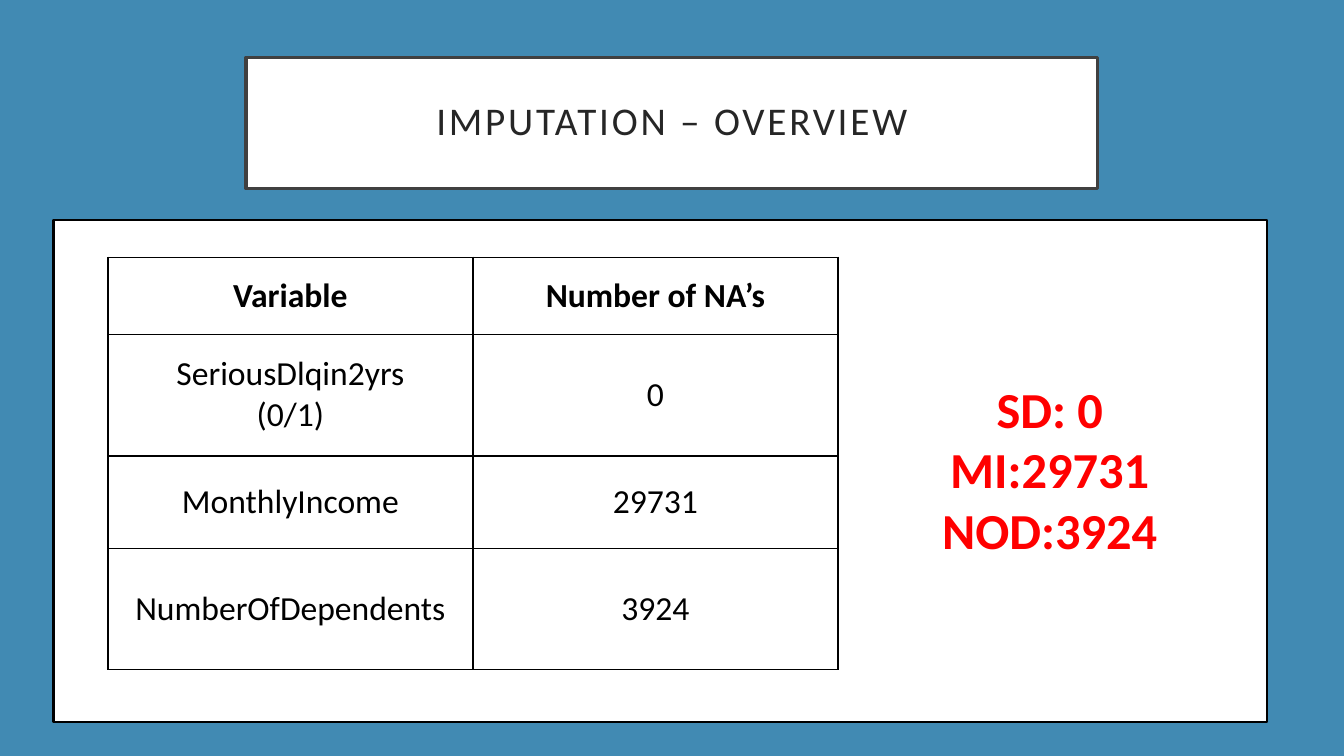
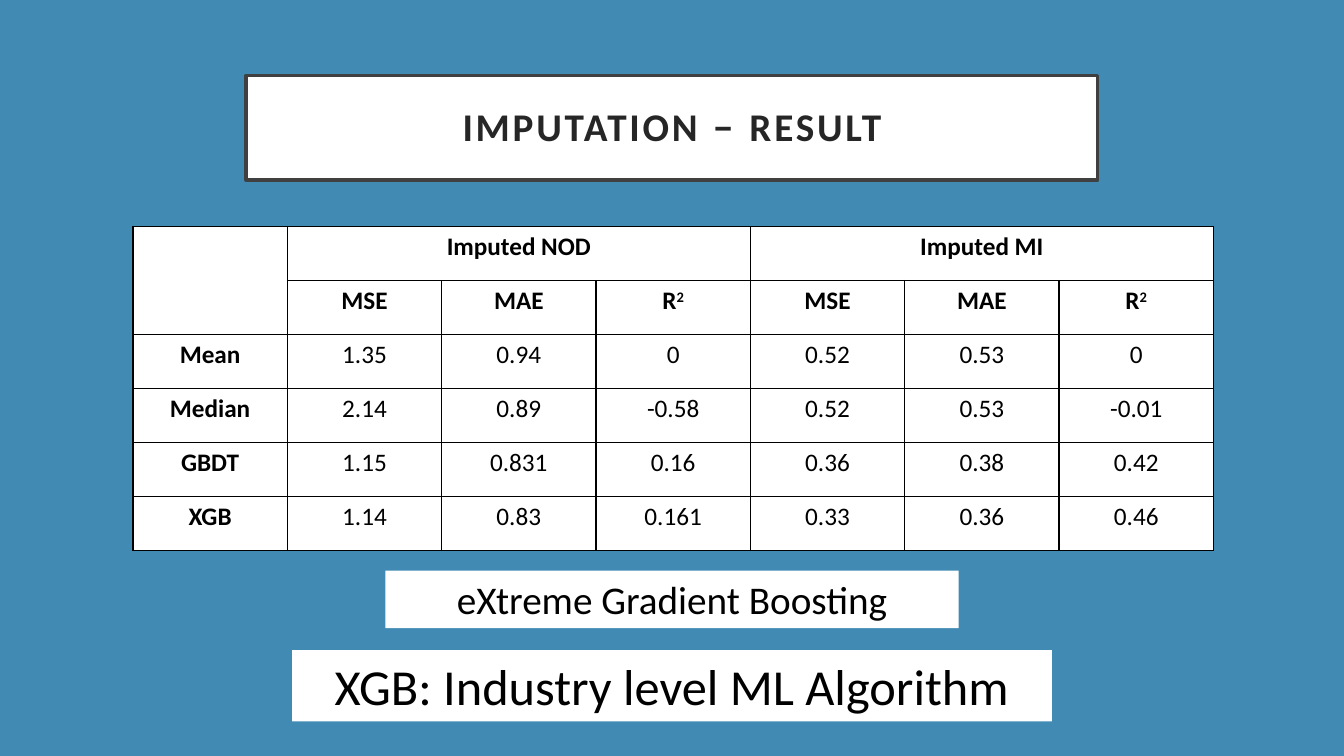
from lxml.etree import SubElement as Sub
from pptx import Presentation
from pptx.dml.color import RGBColor as RGB
from pptx.enum.shapes import MSO_SHAPE as Shape
from pptx.enum.text import MSO_ANCHOR as Anchor, PP_ALIGN as Align
from pptx.oxml.ns import qn
from pptx.util import Cm, Pt

BLUE, WHITE, BLACK = "418AB3", "FFFFFF", "000000"
INK, GRAY, RED = "262626", "404040", "FF0000"
WIDE, HIGH = 33.87, 19.05


def tint(fmt, color):
    """Give a font, or a solid fill, its colour."""
    if hasattr(fmt, "solid"):
        fmt.solid()
        fmt.fore_color.rgb = RGB.from_string(color)
    else:
        fmt.color.rgb = RGB.from_string(color)


def style(run, size=18, color=BLACK, bold=False, track=0, base=0):
    font = run.font
    font.name, font.size, font.bold = "Calibri", Pt(size), bold
    tint(font, color)
    props = run._r.get_or_add_rPr()
    if track:
        props.set("spc", str(track * 100))
    if base:
        props.set("baseline", str(base * 1000))


def write(frame, text, lead=None, **fmt):
    """Fill a frame with lines of a string, or with one list of (text, changes)."""
    lines = [[(t, {})] for t in text.split("\n")] if isinstance(text, str) else [text]
    for i, line in enumerate(lines):
        para = frame.add_paragraph() if i else frame.paragraphs[0]
        para.alignment = Align.CENTER
        if lead:
            para.line_spacing = lead
        for words, change in line:
            if words:
                run = para.add_run()
                run.text = words
                style(run, **{**fmt, **change})


class Deck:
    def __init__(self):
        self.pres = Presentation()
        self.pres.slide_width, self.pres.slide_height = Cm(WIDE), Cm(HIGH)

    def start(self):
        self.slide = self.pres.slides.add_slide(self.pres.slide_layouts[6])
        tint(self.slide.background.fill, BLUE)

    def box(self, top, wide, high, left=None, line=None, weight=1):
        """White box, centred on the slide unless left is given."""
        left = (WIDE - wide) / 2 if left is None else left
        box = self.slide.shapes.add_shape(
            Shape.RECTANGLE, Cm(left), Cm(top), Cm(wide), Cm(high))
        box.shadow.inherit = False
        tint(box.fill, WHITE)
        if line:
            tint(box.line.fill, line)
            box.line.width = Pt(weight)
        else:
            box.line.fill.background()
        return box

    def title(self, text, top, high, **fmt):
        frame = self.box(top, 21.46, high, line=GRAY, weight=2.5).text_frame
        frame.word_wrap = True
        frame.vertical_anchor = Anchor.MIDDLE
        frame.margin_left = frame.margin_right = Cm(0.5)
        frame.margin_top = frame.margin_bottom = Cm(0.5)
        write(frame, text, lead=0.9, size=28, color=INK, track=2, **fmt)

    def label(self, text, top, wide, high, size):
        frame = self.box(top, wide, high).text_frame
        frame.word_wrap = True
        frame.vertical_anchor = Anchor.TOP
        write(frame, text, size=size)

    def note(self, text, left, top, wide, high, **fmt):
        frame = self.slide.shapes.add_textbox(
            Cm(left), Cm(top), Cm(wide), Cm(high)).text_frame
        frame.word_wrap = True
        write(frame, text, **fmt)

    def table(self, data, left, top, col, rows, size, heads=1, side=0,
              anchor=Anchor.TOP, spans=()):
        """Grid with bold head rows and side columns; spans are corner pairs."""
        count = len(data[0])
        grid = self.slide.shapes.add_table(
            len(data), count, Cm(left), Cm(top), Cm(col * count), Cm(sum(rows))).table
        for item in grid.columns:
            item.width = Cm(col)
        for r, (row, high) in enumerate(zip(data, rows)):
            grid.rows[r].height = Cm(high)
            for c, text in enumerate(row):
                cell = grid.cell(r, c)
                cell.vertical_anchor = anchor
                self.edge(cell)
                tint(cell.fill, WHITE)
                write(cell.text_frame, text, size=size, bold=r < heads or c < side)
        for first, last in spans:
            grid.cell(*first).merge(grid.cell(*last))

    def edge(self, cell):
        props = cell._tc.get_or_add_tcPr()
        for name in ("lnL", "lnR", "lnT", "lnB"):
            line = Sub(props, qn("a:" + name), w=str(Pt(1)))
            fill = Sub(line, qn("a:solidFill"))
            Sub(fill, qn("a:srgbClr"), val=BLACK)


def main():
    deck = Deck()

    # Overview of missing values
    deck.start()
    deck.title("IMPUTATION – OVERVIEW", 1.45, 3.3)
    deck.box(5.54, 30.58, 12.65, left=1.35, line=BLACK, weight=1.5)
    deck.note("SD: 0\nMI:29731\nNOD:3924", 22.1, 9.4, 8.71, 4.88,
              size=36, color=RED, bold=True)
    deck.table([
        ["Variable", "Number of NA’s"],
        ["SeriousDlqin2yrs\n(0/1)", "0"],
        ["MonthlyIncome", "29731"],
        ["NumberOfDependents", "3924"],
    ], 2.72, 6.48, 9.2, [1.94, 3.07, 2.34, 3.05], 24, anchor=Anchor.MIDDLE)

    # Results by method
    deck.start()
    deck.title([("IMPUTATION ", {}), ("– ", {"size": 31}), ("RESULT", {})],
               1.9, 2.64, bold=True)
    scores = ["MSE", "MAE", [("R", {}), ("2", {"base": 30})]]
    deck.table([
        ["", "Imputed NOD", "", "", "Imputed MI", "", ""],
        [""] + scores * 2,
        ["Mean", "1.35", "0.94", "0", "0.52", "0.53", "0"],
        ["Median", "2.14", "0.89", "-0.58", "0.52", "0.53", "-0.01"],
        ["GBDT", "1.15", "0.831", "0.16", "0.36", "0.38", "0.42"],
        ["XGB", "1.14", "0.83", "0.161", "0.33", "0.36", "0.46"],
    ], 3.35, 5.71, 3.89, [1.36] * 6, 18, heads=2, side=1,
        spans=[((0, 0), (1, 0)), ((0, 1), (0, 3)), ((0, 4), (0, 6))])
    deck.label("eXtreme Gradient Boosting", 14.38, 14.45, 1.45, 28)
    deck.label("XGB: Industry level ML Algorithm", 16.38, 19.15, 1.8, 36)

    deck.pres.save("out.pptx")


if __name__ == "__main__":
    main()
